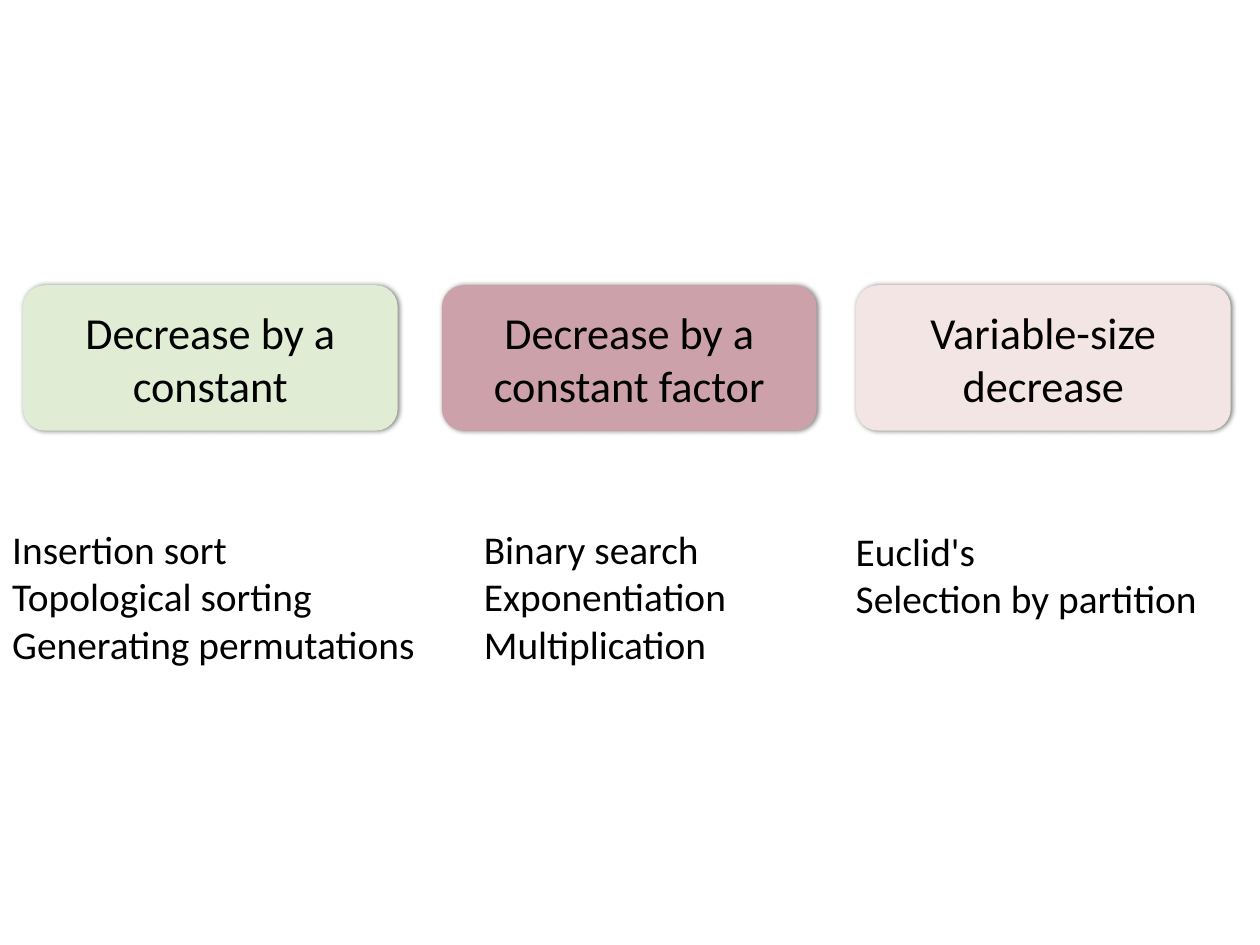
import lxml.etree
import pptx
import pptx.dml.color
import pptx.enum.shapes
import pptx.enum.text
import pptx.oxml.ns
import pptx.util

Cm = pptx.util.Cm
Pt = pptx.util.Pt
qn = pptx.oxml.ns.qn

FONT = "Calibri"
BLACK = "000000"
INSET = Cm(0.15)
BOX_TOP, BOX_WIDTH, BOX_HEIGHT = 8.18, 10.74, 4.17

# Each column: box left, fill, heading lines, list position, list entries
COLUMNS = [
    (0.66, "E0EDD4", ["Decrease by a constant"], (0.2, 14.63, 12.95, 4.93),
     ["Insertion sort", "Topological sorting", "Generating permutations"]),
    (12.67, "CCA1AA", ["Decrease by a constant factor"], (13.72, 14.63, 8.69, 4.93),
     ["Binary search", "Exponentiation", "Multiplication"]),
    (24.54, "F2E5E3", ["Variable-size", "decrease"], (24.38, 14.78, 11.07, 3.38),
     ["Euclid's", "Selection by partition"]),
]


def color(value):
    return pptx.dml.color.RGBColor.from_string(value)


def write_lines(shape, lines, size, alignment):
    frame = shape.text_frame
    frame.word_wrap = True
    frame.auto_size = pptx.enum.text.MSO_AUTO_SIZE.NONE
    frame.vertical_anchor = pptx.enum.text.MSO_ANCHOR.MIDDLE
    frame.margin_left = frame.margin_right = INSET
    frame.margin_top = frame.margin_bottom = INSET
    for index, line in enumerate(lines):
        paragraph = frame.add_paragraph() if index else frame.paragraphs[0]
        paragraph.alignment = alignment
        paragraph.space_before = Pt(0)
        run = paragraph.add_run()
        run.text = line
        run.font.name = FONT
        run.font.size = Pt(size)
        run.font.bold = False
        run.font.color.rgb = color(BLACK)


def add_soft_shadow(shape):
    shape.shadow.inherit = False
    effects = shape._element.spPr.find(qn("a:effectLst"))
    shadow = lxml.etree.SubElement(effects, qn("a:outerShdw"), blurRad=str(Pt(4)),
                                   dist=str(Pt(1)), dir="0", rotWithShape="0")
    shade = lxml.etree.SubElement(shadow, qn("a:srgbClr"), val=BLACK)
    lxml.etree.SubElement(shade, qn("a:alpha"), val="50000")


def add_heading_box(slide, left, fill, lines):
    shape = slide.shapes.add_shape(
        pptx.enum.shapes.MSO_SHAPE.ROUNDED_RECTANGLE,
        Cm(left), Cm(BOX_TOP), Cm(BOX_WIDTH), Cm(BOX_HEIGHT))
    shape.adjustments[0] = 0.15
    shape.fill.solid()
    shape.fill.fore_color.rgb = color(fill)
    shape.line.fill.background()
    add_soft_shadow(shape)
    write_lines(shape, lines, 36, pptx.enum.text.PP_ALIGN.CENTER)


def fill_list(placeholder, position, entries):
    left, top, width, height = map(Cm, position)
    placeholder.left, placeholder.top = left, top
    placeholder.width, placeholder.height = width, height
    write_lines(placeholder, entries, 32, pptx.enum.text.PP_ALIGN.LEFT)
    for paragraph in placeholder.text_frame.paragraphs:
        properties = paragraph._p.get_or_add_pPr()
        properties.set("marL", "0")
        properties.set("indent", "0")
        lxml.etree.SubElement(properties, qn("a:buNone"))


def main():
    presentation = pptx.Presentation()
    presentation.slide_width = Cm(36.12)
    presentation.slide_height = Cm(27.1)
    # The comparison layout offers enough body placeholders for three lists
    slide = presentation.slides.add_slide(presentation.slide_layouts[4])
    title, *bodies = list(slide.placeholders)

    # Heading boxes with their example lists
    for body, (left, fill, heading, position, entries) in zip(bodies, COLUMNS):
        add_heading_box(slide, left, fill, heading)
        fill_list(body, position, entries)

    # Unused placeholders
    for placeholder in [title] + bodies[len(COLUMNS):]:
        placeholder.element.getparent().remove(placeholder.element)

    presentation.save("out.pptx")


if __name__ == "__main__":
    main()
